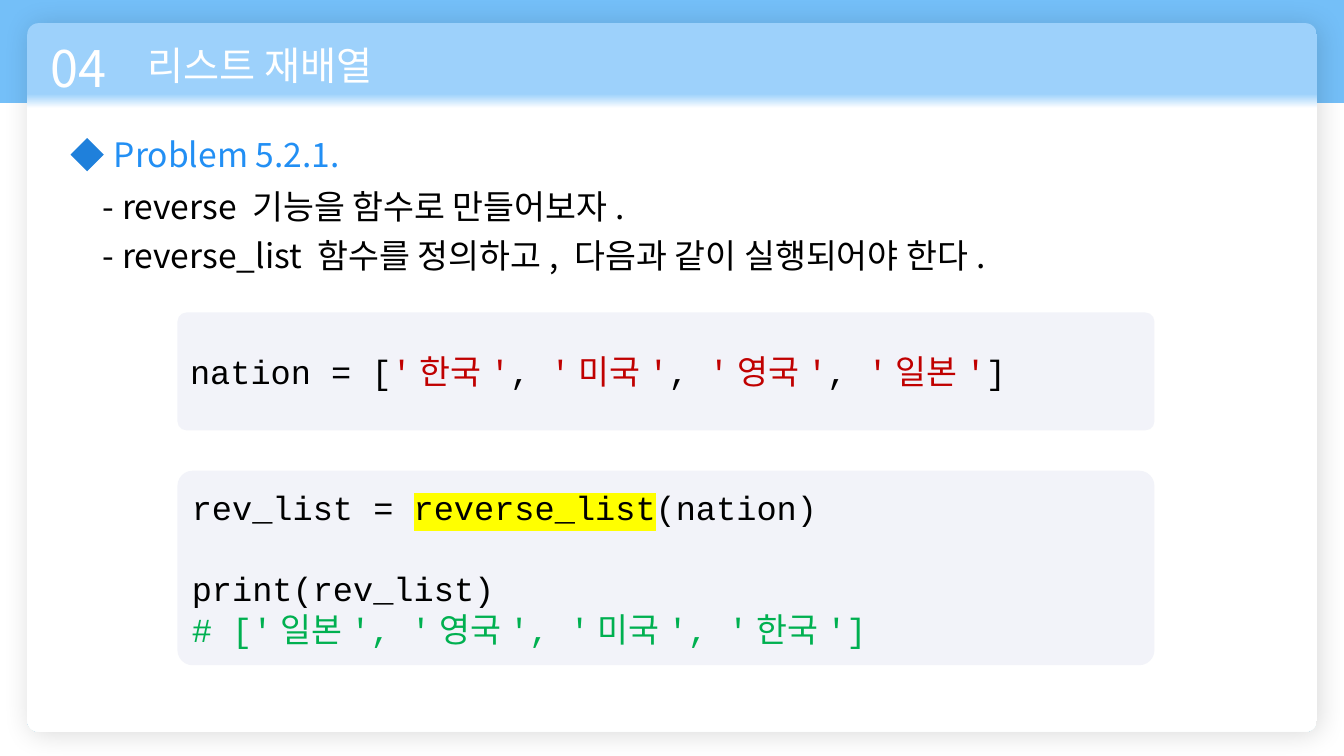
from lxml import etree
from pptx import Presentation
from pptx.dml.color import RGBColor
from pptx.enum.shapes import MSO_SHAPE
from pptx.enum.text import MSO_ANCHOR, MSO_AUTO_SIZE, PP_ALIGN
from pptx.oxml.ns import qn
from pptx.util import Inches, Pt

RECTANGLE, ROUNDED, DIAMOND = MSO_SHAPE.RECTANGLE, MSO_SHAPE.ROUNDED_RECTANGLE, MSO_SHAPE.DIAMOND
TOP, MIDDLE = MSO_ANCHOR.TOP, MSO_ANCHOR.MIDDLE
LEFT = PP_ALIGN.LEFT
NO_FIT = MSO_AUTO_SIZE.NONE

SANS, MONO = "Noto Sans CJK KR", "Courier New"
WHITE, BLACK, RED, GREEN = "FFFFFF", "000000", "C00000", "00B050"
BAR_BLUE, CARD_BLUE, HEADING_BLUE, DIAMOND_BLUE = "74BFF8", "9DD1FB", "228FF4", "1F80DB"
CODE_GRAY, YELLOW = "F2F3F9", "FFFF00"

SECTION = "04"
TITLE = "리스트 재배열"
HEADING = "Problem 5.2.1."
TASKS = [
    "- reverse 기능을 함수로 만들어보자.",
    "- reverse_list 함수를 정의하고, 다음과 같이 실행되어야 한다.",
]

# A code line is a list of (text, colour, highlight) runs.
NATION_CODE = [[
    ("nation = [", BLACK, None), ("'한국'", RED, None), (", ", BLACK, None),
    ("'미국'", RED, None), (", ", BLACK, None), ("'영국'", RED, None),
    (", ", BLACK, None), ("'일본'", RED, None), ("]", BLACK, None),
]]
REVERSE_CODE = [
    [("rev_list = ", BLACK, None), ("reverse_list", BLACK, YELLOW), ("(nation)", BLACK, None)],
    [("print(rev_list)", BLACK, None)],
    [("# ['일본', '영국', '미국', '한국']", GREEN, None)],
]
# (top, height, lines, space before each line in points)
CODE_BOXES = [
    (3.1, 1.17, NATION_CODE, (0,)),
    (4.67, 1.93, REVERSE_CODE, (0, 29, 0)),
]
CODE_LEFT, CODE_WIDTH = 1.76, 9.69
TASK_SPACING = 6.5


def rgb(color):
    return RGBColor.from_string(color)


def add_panel(slide, kind, box, color, rounding=None):
    shape = slide.shapes.add_shape(kind, *map(Inches, box))
    shape.shadow.inherit = False
    shape.line.fill.background()
    shape.fill.solid()
    shape.fill.fore_color.rgb = rgb(color)
    if rounding is not None:
        shape.adjustments[0] = rounding
    return shape


def add_run(paragraph, text, color, size, font_name=SANS, highlight=None):
    run = paragraph.add_run()
    run.text = text
    run.font.color.rgb = rgb(color)
    for name, value in {"size": Pt(size), "name": font_name, "bold": False}.items():
        setattr(run.font, name, value)
    properties = run.font._element
    latin = properties.find(qn("a:latin"))
    if highlight:
        mark = etree.Element(qn("a:highlight"))
        etree.SubElement(mark, qn("a:srgbClr"), val=highlight)
        latin.addprevious(mark)
    east_asian = etree.Element(qn("a:ea"), typeface=SANS)
    latin.addnext(east_asian)


def write_lines(frame, lines, size, font_name=SANS, anchor=TOP, gaps=(0,)):
    settings = {"word_wrap": True, "auto_size": NO_FIT, "vertical_anchor": anchor}
    for name, value in settings.items():
        setattr(frame, name, value)
    for index, (line, gap) in enumerate(zip(lines, gaps)):
        paragraph = frame.paragraphs[0] if index == 0 else frame.add_paragraph()
        paragraph.alignment = LEFT
        paragraph.space_before = Pt(gap)
        for text, color, highlight in line:
            add_run(paragraph, text, color, size, font_name, highlight)


def add_label(slide, box, text, color, size):
    label = slide.shapes.add_textbox(*map(Inches, box))
    write_lines(label.text_frame, [[(text, color, None)]], size)


def place(slide, placeholder, box):
    """Move a placeholder to a box, in front of what is already drawn."""
    for name, value in zip(("left", "top", "width", "height"), box):
        setattr(placeholder, name, Inches(value))
    slide.shapes._spTree.append(placeholder._element)


def add_card(slide):
    card = add_panel(slide, ROUNDED, (0.27, 0.23, 12.79, 7.03), WHITE, 0.016)
    card.fill.gradient()
    card.fill.gradient_angle = 270
    for stop, (position, color) in zip(card.fill.gradient_stops, ((0.1, CARD_BLUE), (0.12, WHITE))):
        stop.position = position
        stop.color.rgb = rgb(color)
    effects = card._element.spPr.find(qn("a:effectLst"))
    shadow = etree.SubElement(
        effects, qn("a:outerShdw"), blurRad=str(Pt(20)), dist=str(Pt(3)),
        dir=str(45 * 60000), algn="tl", rotWithShape="0")
    shadow_color = etree.SubElement(shadow, qn("a:srgbClr"), val=BLACK)
    etree.SubElement(shadow_color, qn("a:alpha"), val="14000")


def main():
    presentation = Presentation()
    presentation.slide_width, presentation.slide_height = Inches(13.33), Inches(7.5)
    slide = presentation.slides.add_slide(presentation.slide_layouts[1])
    title, body = slide.shapes.title, slide.placeholders[1]

    add_panel(slide, RECTANGLE, (0, 0, 13.33, 1.02), BAR_BLUE)
    add_card(slide)
    add_label(slide, (0.4, 0.32, 1.02, 0.71), SECTION, WHITE, 36)
    place(slide, title, (1.36, 0.36, 4.9, 0.57))
    write_lines(title.text_frame, [[(TITLE, WHITE, None)]], 28)

    add_panel(slide, DIAMOND, (0.7, 1.37, 0.33, 0.33), DIAMOND_BLUE)
    add_label(slide, (1.03, 1.28, 5.11, 0.5), HEADING, HEADING_BLUE, 24)
    place(slide, body, (0.92, 1.79, 10.54, 1.07))
    write_lines(body.text_frame, [[(task, BLACK, None)] for task in TASKS], 24,
                gaps=(0, TASK_SPACING))
    for paragraph in body.text_frame.paragraphs:
        properties = paragraph._p.get_or_add_pPr()
        properties.set("marL", "0")
        properties.set("indent", "0")
        etree.SubElement(properties, qn("a:buNone"))

    for top, height, lines, gaps in CODE_BOXES:
        box = add_panel(slide, ROUNDED, (CODE_LEFT, top, CODE_WIDTH, height), CODE_GRAY, 0.078)
        write_lines(box.text_frame, lines, 24, MONO, MIDDLE, gaps)

    presentation.save("out.pptx")


if __name__ == "__main__":
    main()
